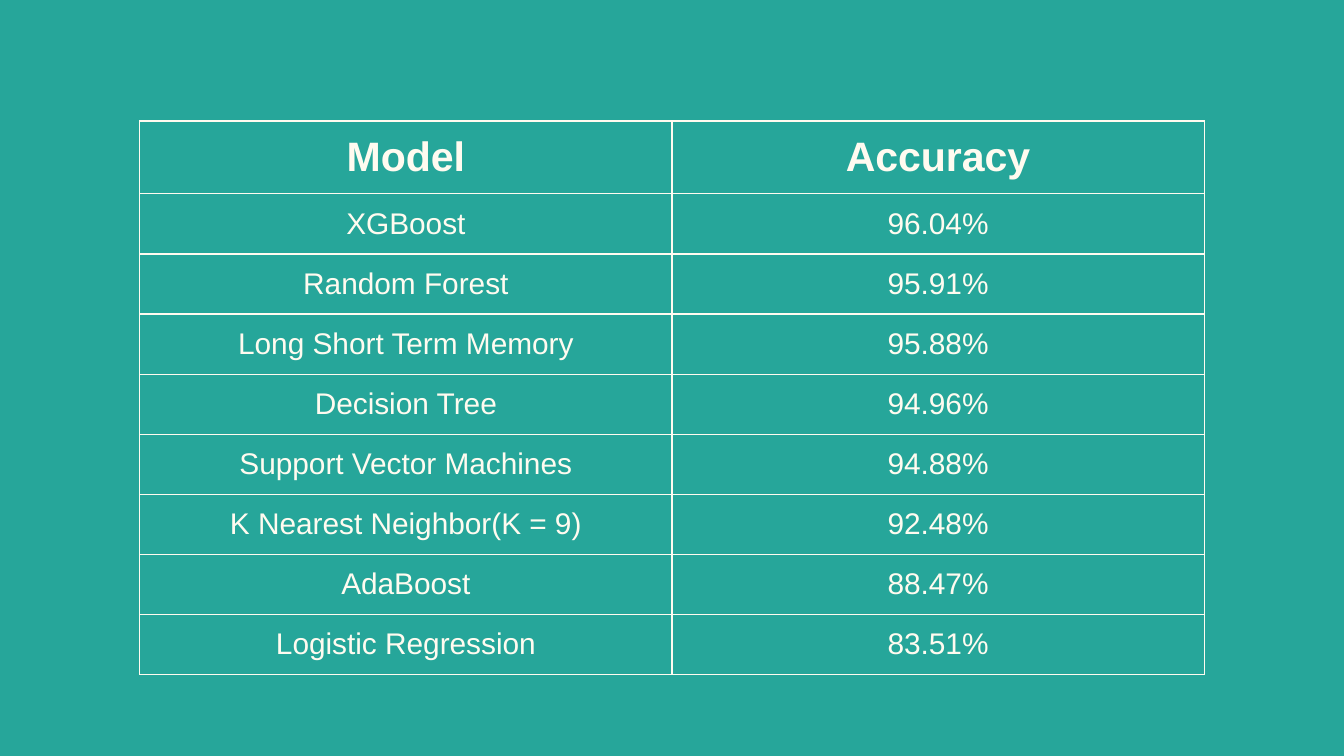
"""Build a slide with a table of model accuracies."""
import lxml.etree
import pptx
import pptx.dml.color
import pptx.enum.text
import pptx.oxml.ns
import pptx.util

Inches = pptx.util.Inches

RESULTS = [
    ("Model", "Accuracy"),
    ("XGBoost", "96.04%"),
    ("Random Forest", "95.91%"),
    ("Long Short Term Memory", "95.88%"),
    ("Decision Tree", "94.96%"),
    ("Support Vector Machines", "94.88%"),
    ("K Nearest Neighbor(K = 9)", "92.48%"),
    ("AdaBoost", "88.47%"),
    ("Logistic Regression", "83.51%"),
]


def colour(value):
    return pptx.dml.color.RGBColor.from_string(value)


class AccuracySlide:
    background = "26A69A"
    ink = "FFFBF0"
    font = "Arial"
    header_format = {"size": pptx.util.Pt(22), "bold": True}
    body_format = {"size": pptx.util.Pt(16), "bold": False}
    margins = ("margin_left", "margin_right", "margin_top", "margin_bottom")

    def __init__(self, deck):
        self.slide = deck.slides.add_slide(deck.slide_layouts[6])
        fill = self.slide.background.fill
        fill.solid()
        fill.fore_color.rgb = colour(self.background)

    def border(self, cell):
        properties = cell._tc.get_or_add_tcPr()
        qn = pptx.oxml.ns.qn
        for side in ("a:lnL", "a:lnR", "a:lnT", "a:lnB"):
            line = lxml.etree.SubElement(properties, qn(side), w=str(pptx.util.Pt(0.75)))
            solid = lxml.etree.SubElement(line, qn("a:solidFill"))
            lxml.etree.SubElement(solid, qn("a:srgbClr"), val=self.ink)

    def cell(self, cell, text, text_format):
        self.border(cell)
        cell.fill.background()
        for margin in self.margins:
            setattr(cell, margin, Inches(0.1))
        cell.text = text
        paragraph = cell.text_frame.paragraphs[0]
        paragraph.alignment = pptx.enum.text.PP_ALIGN.CENTER
        font = paragraph.runs[0].font
        for name, value in {"name": self.font, **text_format}.items():
            setattr(font, name, value)
        font.color.rgb = colour(self.ink)

    def table(self, rows, left, top, column_width, row_height):
        columns = len(rows[0])
        results = self.slide.shapes.add_table(
            len(rows), columns, Inches(left), Inches(top),
            Inches(column_width * columns), Inches(row_height * len(rows)),
        ).table
        results.horz_banding = False
        for row_number, row in enumerate(rows):
            text_format = self.body_format if row_number else self.header_format
            for column_number, text in enumerate(row):
                self.cell(results.cell(row_number, column_number), text, text_format)


def main():
    deck = pptx.Presentation()
    deck.slide_width, deck.slide_height = Inches(10), Inches(10 * 9 / 16)
    AccuracySlide(deck).table(RESULTS, 1.04, 0.9, 3.96, 0.42)
    deck.save("out.pptx")


if __name__ == "__main__":
    main()
